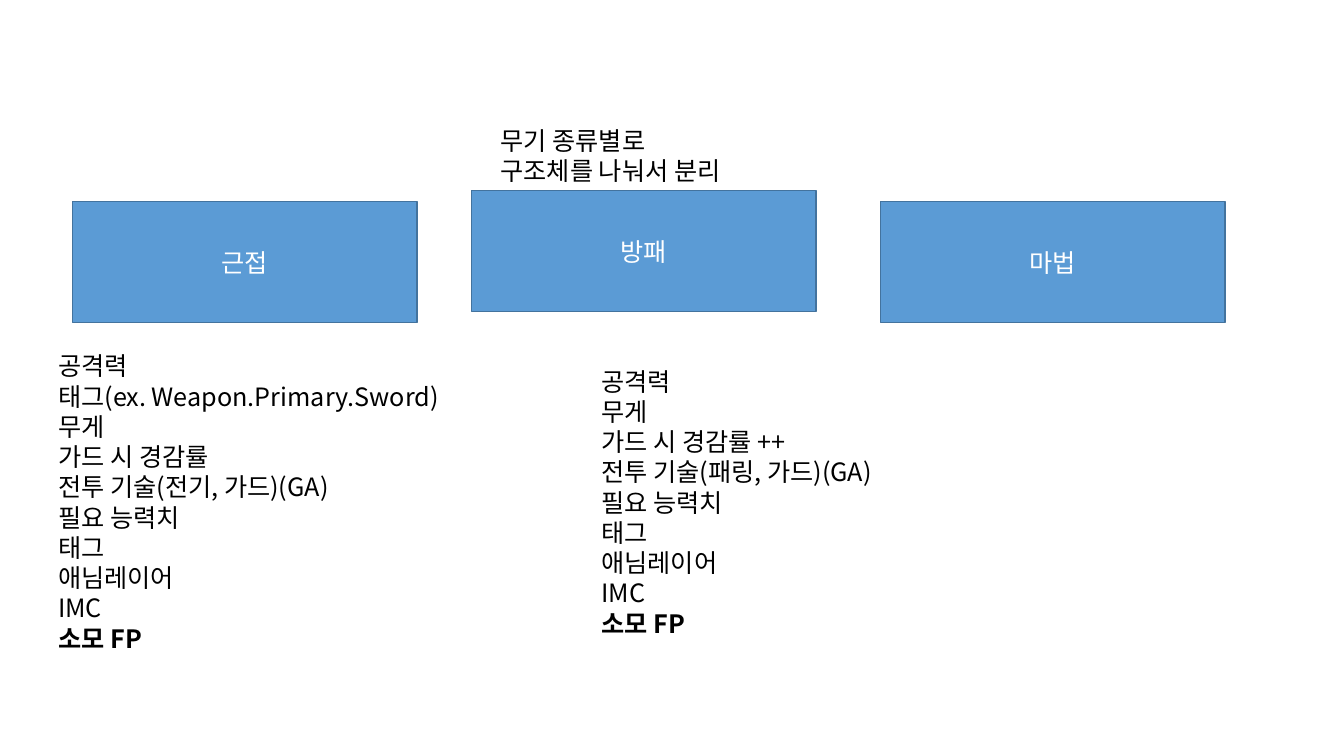
from pptx import Presentation
from pptx.dml.color import RGBColor
from pptx.enum.shapes import MSO_SHAPE
from pptx.enum.text import MSO_ANCHOR, PP_ALIGN
from pptx.util import Pt
from lxml.etree import SubElement
from pptx.oxml.ns import qn

FACE = "Noto Sans CJK KR"
BLUE = RGBColor(0x5B, 0x9B, 0xD5)
EDGE = RGBColor(0x43, 0x73, 0x9E)
WHITE = RGBColor(0xFF, 0xFF, 0xFF)
BLACK = RGBColor(0, 0, 0)

CARDS = [("근접", 52, 144), ("방패", 337, 136), ("마법", 629, 144)]
NOTE = ["무기 종류별로", "구조체를 나눠서 분리"]
TAIL = ["필요 능력치", "태그", "애님레이어", "IMC", "소모 FP"]
MELEE = ["공격력", "태그(ex. Weapon.Primary.Sword)", "무게", "가드 시 경감률",
         "전투 기술(전기, 가드)(GA)"] + TAIL
SHIELD = ["공격력", "무게", "가드 시 경감률 ++", "전투 기술(패링, 가드)(GA)"] + TAIL


def style(para, color, bold=False):
    """Set the font of a paragraph for Latin and Korean text."""
    font = para.font
    font.name, font.size, font.bold = FACE, Pt(18), bold
    font.color.rgb = color
    para.line_spacing = Pt(21.6)
    SubElement(para._p.pPr.find(qn("a:defRPr")), qn("a:ea"), typeface=FACE)


def card(slide, label, left, top, wide=246, high=86.5):
    """Draw one weapon class as a labelled box."""
    box = slide.shapes.add_shape(MSO_SHAPE.RECTANGLE, Pt(left), Pt(top), Pt(wide), Pt(high))
    box.shadow.inherit = False
    box.fill.solid()
    box.fill.fore_color.rgb = BLUE
    box.line.color.rgb = EDGE
    box.line.width = Pt(1)
    frame = box.text_frame
    frame.vertical_anchor = MSO_ANCHOR.MIDDLE
    para = frame.paragraphs[0]
    para.text = label
    para.alignment = PP_ALIGN.CENTER
    style(para, WHITE)


def lines(slide, items, left, top, wide, high):
    """Write one paragraph per item, with the FP cost in bold."""
    frame = slide.shapes.add_textbox(Pt(left), Pt(top), Pt(wide), Pt(high)).text_frame
    frame.word_wrap = True
    frame.text = "\n".join(items)
    for para in frame.paragraphs:
        style(para, BLACK, para.text == TAIL[-1])


def main():
    """Build the slide on weapon structures and save it."""
    deck = Presentation()
    deck.slide_width, deck.slide_height = Pt(960), Pt(540)
    slide = deck.slides.add_slide(deck.slide_layouts[6])
    for label, left, top in CARDS:
        card(slide, label, left, top)
    lines(slide, NOTE, 350.5, 85.7, 208, 51)
    lines(slide, MELEE, 34.5, 247, 345.5, 225.5)
    lines(slide, SHIELD, 422.5, 257.8, 242, 204)
    deck.save("out.pptx")


if __name__ == "__main__":
    main()
